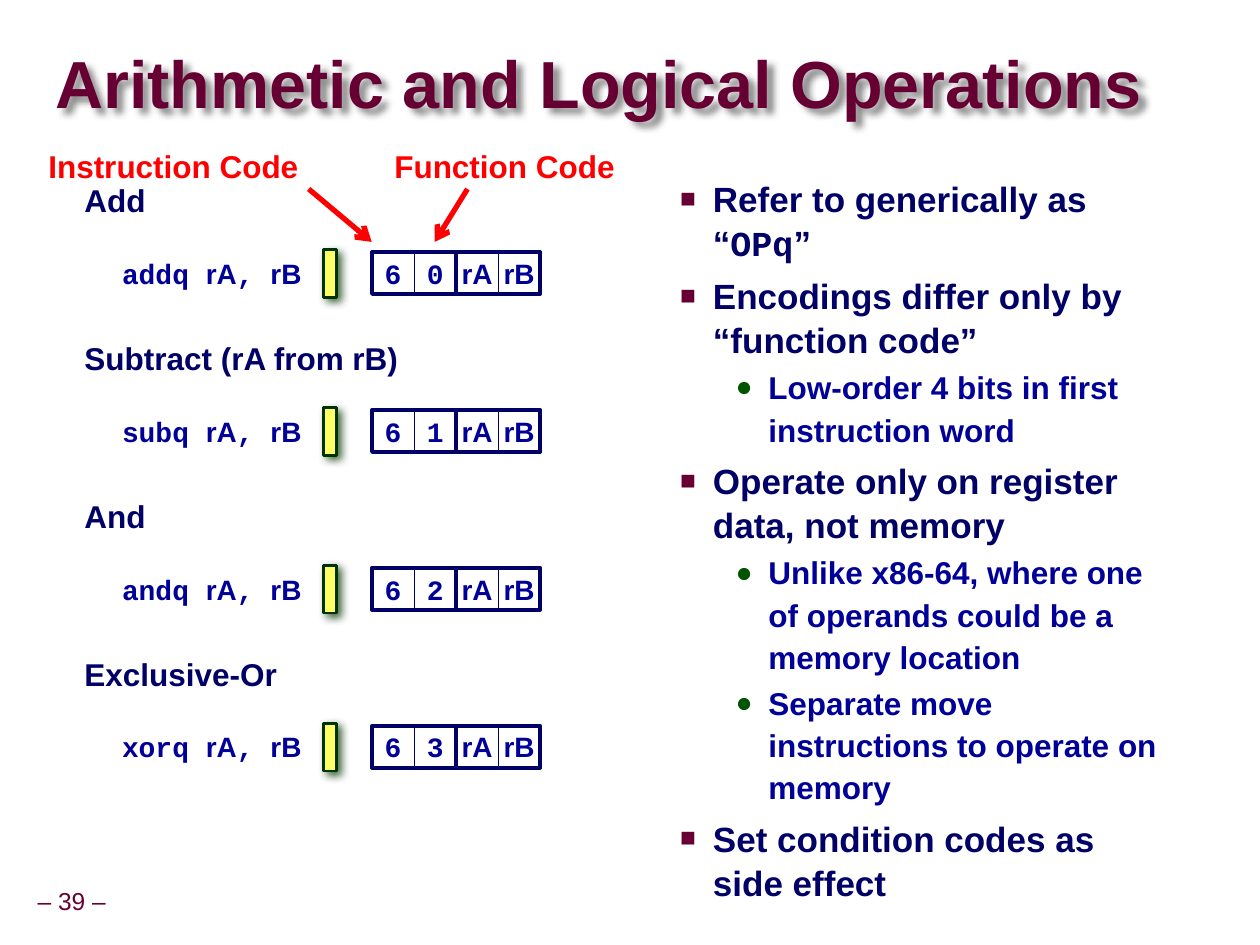
from lxml.etree import SubElement
from pptx import Presentation
from pptx.dml.color import RGBColor as RGB
from pptx.enum.shapes import MSO_CONNECTOR as CONN, MSO_SHAPE as SHAPE
from pptx.enum.text import MSO_ANCHOR as ANCHOR, PP_ALIGN as ALIGN
from pptx.oxml import parse_xml
from pptx.oxml.ns import nsdecls, qn
from pptx.util import Inches, Pt

C = {"plum": "660033", "navy": "000066", "blue": "000099", "red": "FF0002",
     "green": "005400", "dark": "003300", "yellow": "FFFF66",
     "white": "FFFFFF", "black": "000000"}
MONO = "Courier New"
SHADOW = ('<a:effectLst %s><a:outerShdw blurRad="{}" dist="{}" dir="2700000" algn="tl" '
          'rotWithShape="0"><a:srgbClr val="{}"><a:alpha val="{}"/></a:srgbClr>'
          '</a:outerShdw></a:effectLst>' % nsdecls("a"))

prs = Presentation()
prs.slide_width, prs.slide_height = Inches(10), Inches(7.5)
s = prs.slides.add_slide(prs.slide_layouts[6])
COL, ROW = prs.slide_width / 120, prs.slide_height / 90


def write(sp, *runs, size=18, color="navy", font="Arial", bold=True, align=ALIGN.LEFT,
          anchor=ANCHOR.TOP, inset=(0.05, 0.05), wrap=False, spacing=None, before=0,
          level=0, indent=None, bullet=None):
    tf = sp.text_frame
    tf.word_wrap, tf.vertical_anchor = wrap, anchor
    tf.margin_left = tf.margin_right = Inches(inset[0])
    tf.margin_top = tf.margin_bottom = Inches(inset[1])
    p = tf.paragraphs[0]
    if p.runs:
        p = tf.add_paragraph()
        p.space_before = Pt(before)
    p.alignment, p.line_spacing, p.level = align, spacing, level
    if bullet:
        char, tint, percent = bullet
        pPr = p._p.get_or_add_pPr()
        pPr.set("marL", str(Inches(indent)))
        pPr.set("indent", str(Inches(-0.26)))
        SubElement(SubElement(pPr, qn("a:buClr")), qn("a:srgbClr"), val=C[tint])
        SubElement(pPr, qn("a:buSzPct"), val=str(percent * 1000))
        SubElement(pPr, qn("a:buFont"), typeface="Arial")
        SubElement(pPr, qn("a:buChar"), char=char)
    for run in runs:
        words, face = run if isinstance(run, tuple) else (run, font)
        r = p.add_run()
        r.text = words
        r.font.name, r.font.size, r.font.bold = face, Pt(size), bold
        r.font.color.rgb = RGB.from_string(C[color])


def place(shapes, x, y, w, h, fill=None, line=None, width=0.5):
    at = int(x * COL), int(y * ROW), int(w * COL), int(h * ROW)
    if not line:
        return shapes.add_textbox(*at)
    sp = shapes.add_shape(SHAPE.RECTANGLE, *at)
    sp.shadow.inherit = False
    if fill:
        sp.fill.solid()
        sp.fill.fore_color.rgb = RGB.from_string(C[fill])
    else:
        sp.fill.background()
    sp.line.color.rgb = RGB.from_string(C[line])
    sp.line.width = Pt(width)
    return sp


write(place(s.shapes, 2.76, 84, 8.16, 3.84), "– 39 –", size=14, color="plum",
      bold=False, align=ALIGN.CENTER, anchor=ANCHOR.MIDDLE, spacing=0.9)

title = place(s.shapes, 5.28, 3.24, 114.36, 10.2)
write(title, "Arithmetic and Logical Operations", size=38, color="plum",
      anchor=ANCHOR.MIDDLE, inset=(0, 0), wrap=True, spacing=0.87)
title._element.spPr.append(parse_xml(SHADOW.format(Pt(4), Pt(4), C["black"], 45000)))

levels = {
    1: dict(size=20, color="navy", indent=0.8, spacing=1.05, before=5,
            bullet=("■", "plum", 75)),
    2: dict(size=18, color="blue", indent=1.24, spacing=1.12, before=2,
            bullet=("●", "green", 90)),
}
points = [
    (1, ["Refer to generically as “", ("OPq", MONO), "”"]),
    (1, ["Encodings differ only by “function code”"]),
    (2, ["Low-order 4 bits in first instruction word"]),
    (1, ["Operate only on register data, not memory"]),
    (2, ["Unlike x86-64, where one of operands could be a memory location"]),
    (2, ["Separate move instructions to operate on memory"]),
    (1, ["Set condition codes as side effect"]),
]
body = place(s.shapes, 57.12, 16.08, 55.8, 68.52)
for level, runs in points:
    write(body, *runs, level=level, inset=(0.1, 0.05), wrap=True, **levels[level])

operations = [("Add", "addq", 7.08), ("Subtract (rA from rB)", "subq", 31.44),
              ("And", "andq", 7.08), ("Exclusive-Or", "xorq", 19.8)]
PITCH, CELL, LEFT = 15.04, 4, 35.44
code = dict(size=16, color="blue", anchor=ANCHOR.MIDDLE, inset=(0.1, 0.05))
for i, (name, op, width) in enumerate(operations):
    y = 24 + i * PITCH
    bar = place(s.shapes, 30.84, y - 0.24, 1.2, 4.56, "yellow", "dark", 1.5)
    spPr = bar._element.spPr
    spPr.remove(spPr.find(qn("a:effectLst")))
    spPr.append(parse_xml(SHADOW.format(Pt(5), Pt(3), C["dark"], 75000)))

    group = s.shapes.add_group_shape().shapes
    write(place(group, 10.44, y, 25.08, CELL), (op + " ", MONO), "rA", (", ", MONO),
          "rB", **code)
    fields = [("6", MONO), (str(i), MONO), ("rA", "Arial"), ("rB", "Arial")]
    for j, field in enumerate(fields):
        cell = place(group, LEFT + j * CELL, y, CELL, CELL, "white", "navy")
        write(cell, field, align=ALIGN.CENTER, **code)
        if j % 2:
            place(group, LEFT + (j - 1) * CELL, y, 2 * CELL, CELL, None, "navy", 2.25)

    write(place(s.shapes, 7.44, y - 6.96, width, 4.56), name, spacing=0.9)

callouts = [("Instruction Code", 3.72, 25.32, 29.4, 35.4),
            ("Function Code", 36.72, 22.44, 44.52, 41.4)]
for name, x, width, start, end in callouts:
    group = s.shapes.add_group_shape().shapes
    arrow = group.add_connector(CONN.STRAIGHT, int(start * COL), int(18 * ROW),
                                int(end * COL), int(23.04 * ROW))
    arrow.line.color.rgb = RGB.from_string(C["red"])
    arrow.line.width = Pt(3)
    SubElement(arrow.line._get_or_add_ln(), qn("a:tailEnd"), type="arrow")
    SubElement(arrow._element.spPr, qn("a:effectLst"))
    write(place(group, x, 13.8, width, 4.56), name, color="red", align=ALIGN.RIGHT,
          spacing=0.9)

prs.save("out.pptx")
